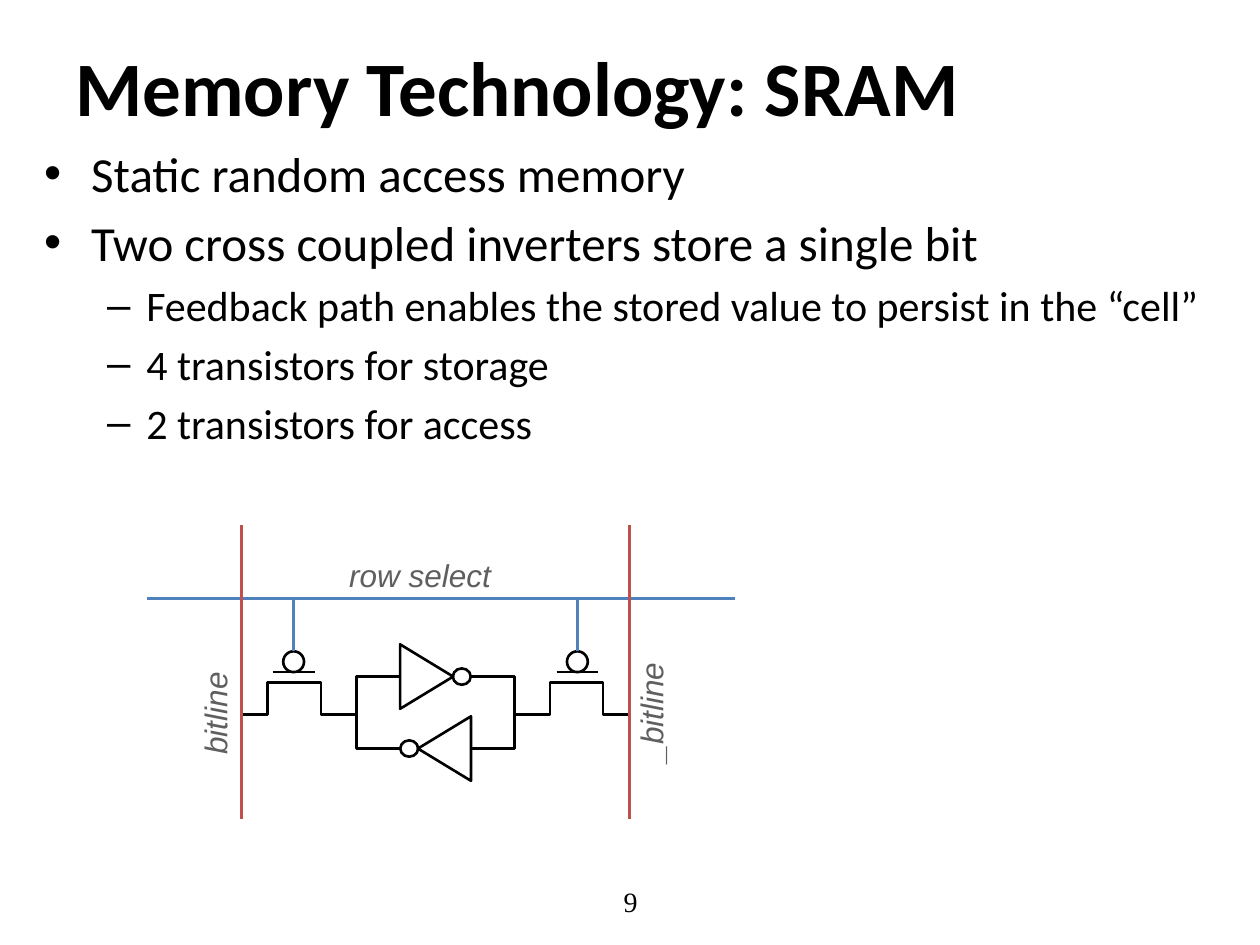
from dataclasses import dataclass
from typing import NamedTuple

from lxml import etree
from pptx import Presentation
from pptx import util as u
from pptx.dml.color import RGBColor
from pptx.enum import shapes, text
from pptx.oxml.ns import qn


@dataclass(frozen=True)
class Theme:
    ink: str = "000000"
    row: str = "4F81BD"
    bit: str = "C0504D"
    label: str = "5F5F5F"
    head: str = "Calibri"
    sans: str = "Arial"
    serif: str = "Times New Roman"
    title: int = 44
    body: int = 28
    sub: int = 24
    tag: int = 18
    page: int = 16
    line: float = 1.5


class Item(NamedTuple):
    words: str
    level: int


class Level(NamedTuple):
    mark: str
    left: float
    hang: float
    size: int


class Label(NamedTuple):
    words: str
    x: float
    y: float
    width: float
    turn: int


class Box(NamedTuple):
    x: float
    y: float
    width: float
    height: float


theme = Theme()
levels = [Level("•", 0.95, 0.95, theme.body), Level("–", 2.06, 0.79, theme.sub)]
items = [
    Item("Static random access memory", 0),
    Item("Two cross coupled inverters store a single bit", 0),
    Item("Feedback path enables the stored value to persist in the “cell”", 1),
    Item("4 transistors for storage", 1),
    Item("2 transistors for access", 1),
]
labels = [
    Label("row select", 8.47, 11.65, 3.6, 0),
    Label("bitline", 4.38, 14.38, 2.4, 270),
    Label("_bitline", 13.17, 14.36, 2.8, 270),
]

deck = Presentation()
deck.slide_width, deck.slide_height = u.Cm(25.4), u.Cm(19.05)
slide = deck.slides.add_slide(deck.slide_layouts[6])


def frame(box: Box, wrap: bool = True, turn: int = 0):
    shape = slide.shapes.add_textbox(*map(u.Cm, box))
    shape.rotation = turn
    shape.text_frame.word_wrap = wrap
    return shape.text_frame


def write(para, words: str, face: str, size: int, color: str = theme.ink):
    para.text = words
    font = para.font
    font.name, font.size = face, u.Pt(size)
    font.color.rgb = RGBColor.from_string(color)
    return font


def bullet(para, item: Item) -> None:
    level = levels[item.level]
    write(para, item.words, theme.head, level.size)
    para.level = item.level
    para.space_before = u.Pt(level.size * 0.2)
    props = para._p.get_or_add_pPr()
    props.set("marL", str(u.Cm(level.left)))
    props.set("indent", str(-u.Cm(level.hang)))
    base = props.find(qn("a:defRPr"))
    base.addprevious(etree.Element(qn("a:buFont"), typeface=theme.sans))
    base.addprevious(etree.Element(qn("a:buChar"), char=level.mark))


def wire(x1: float, y1: float, x2: float, y2: float, color: str = theme.ink) -> None:
    ends = map(u.Cm, (x1, y1, x2, y2))
    line = slide.shapes.add_connector(shapes.MSO_CONNECTOR.STRAIGHT, *ends)
    line.line.color.rgb = RGBColor.from_string(color)
    line.line.width = u.Pt(theme.line)
    etree.SubElement(line._element.spPr, qn("a:effectLst"))


def outline(shape) -> None:
    shape.shadow.inherit = False
    shape.fill.background()
    shape.line.color.rgb = RGBColor.from_string(theme.ink)
    shape.line.width = u.Pt(theme.line)


def trace(points: list[tuple[float, float]]) -> None:
    first, *rest = [(u.Cm(x), u.Cm(y)) for x, y in points]
    pen = slide.shapes.build_freeform(*first)
    pen.add_line_segments(rest, close=False)
    outline(pen.convert_to_shape())


def part(kind, x: float, y: float, width: float, height: float, turn: int = 0) -> None:
    spot = (x - width / 2, y - height / 2, width, height)
    shape = slide.shapes.add_shape(kind, *map(u.Cm, spot))
    shape.rotation = turn
    outline(shape)


mid, row, stub = 8.78, 12.07, 14.4
top, low = 13.64, 15.09
oval = shapes.MSO_SHAPE.OVAL
cone = shapes.MSO_SHAPE.ISOSCELES_TRIANGLE


def invert(side: int, y: float) -> None:
    part(cone, mid - side * 0.18, y, 1.3, 1.07, 90 * side % 360)
    part(oval, mid + side * 0.53, y, 0.36, 0.33)


def access(side: int) -> None:
    bit, outer, gate, inner, node, end = (
        mid + side * gap for gap in (3.91, 3.38, 2.86, 2.31, 1.59, 0.71)
    )
    trace([(end, top), (node, top), (node, low), (end, low)])
    trace([(bit, stub), (outer, stub), (outer, 13.76),
           (inner, 13.76), (inner, stub), (node, stub)])
    wire(gate - 0.42, 13.55, gate + 0.42, 13.55)
    part(oval, gate, 13.34, 0.42, 0.42)
    wire(bit, 10.59, bit, 16.51, theme.bit)
    wire(gate, row, gate, 13.13, theme.row)


body = frame(Box(0.64, 2.77, 23.93, 14.43))
for spot, item in enumerate(items):
    bullet(body.add_paragraph() if spot else body.paragraphs[0], item)

title = frame(Box(1.27, 0.13, 22.86, 3.18))
title.vertical_anchor = text.MSO_ANCHOR.MIDDLE
write(title.paragraphs[0], "Memory Technology: SRAM", theme.head, theme.title).bold = True

page = frame(Box(8.69, 17.65, 8.05, 1.02))
page.vertical_anchor = text.MSO_ANCHOR.MIDDLE
write(page.paragraphs[0], "9", theme.serif, theme.page)
page.paragraphs[0].alignment = text.PP_ALIGN.CENTER

wire(2.97, row, 14.81, row, theme.row)
for side, y in ((1, top), (-1, low)):
    invert(side, y)
    access(side)

for tag in labels:
    area = Box(tag.x - tag.width / 2, tag.y - 0.47, tag.width, 0.94)
    note = frame(area, False, tag.turn)
    note.auto_size = text.MSO_AUTO_SIZE.SHAPE_TO_FIT_TEXT
    para = note.paragraphs[0]
    write(para, tag.words, theme.sans, theme.tag, theme.label).italic = True
    para.alignment = text.PP_ALIGN.CENTER
    para.line_spacing = 0.9

deck.save("out.pptx")
